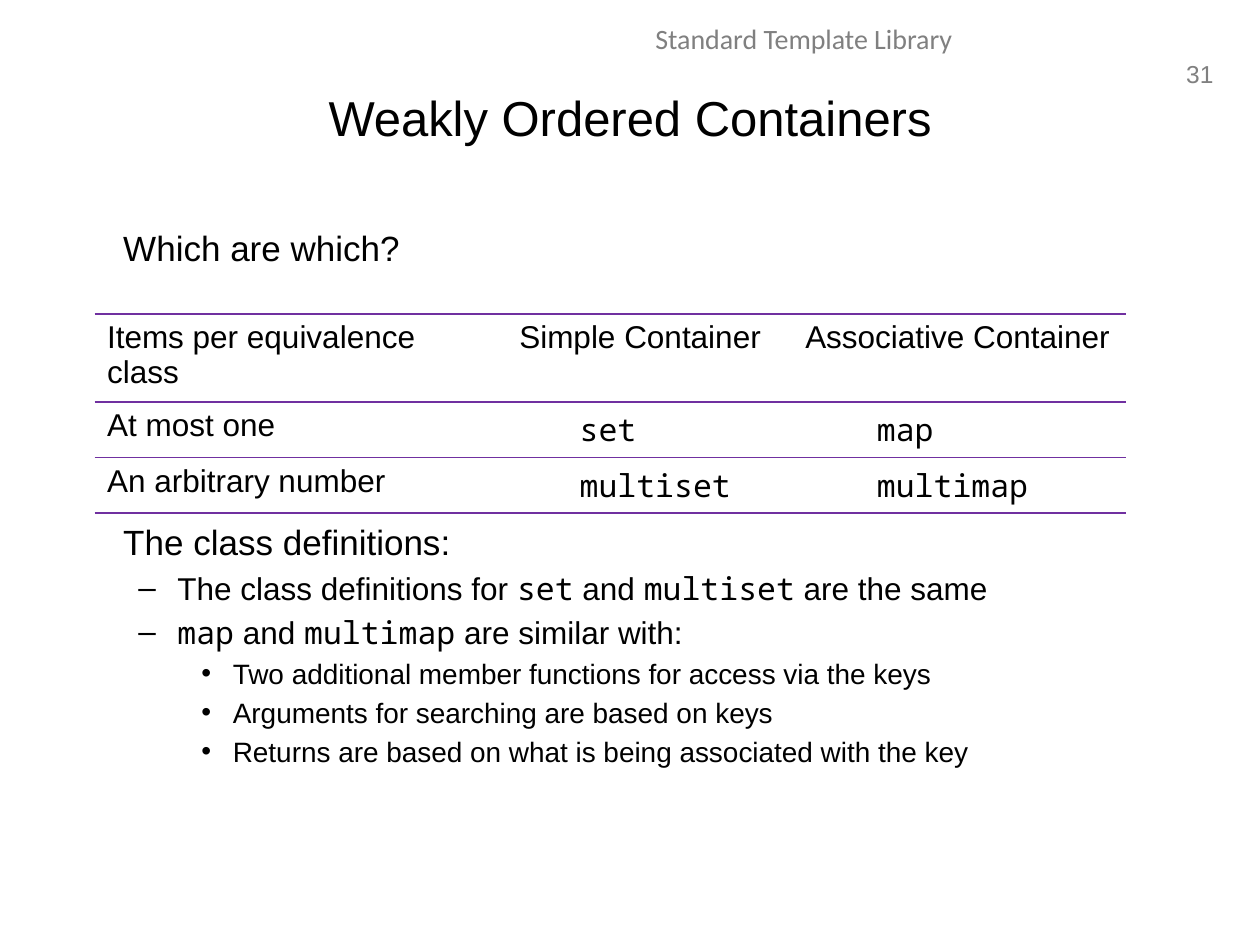
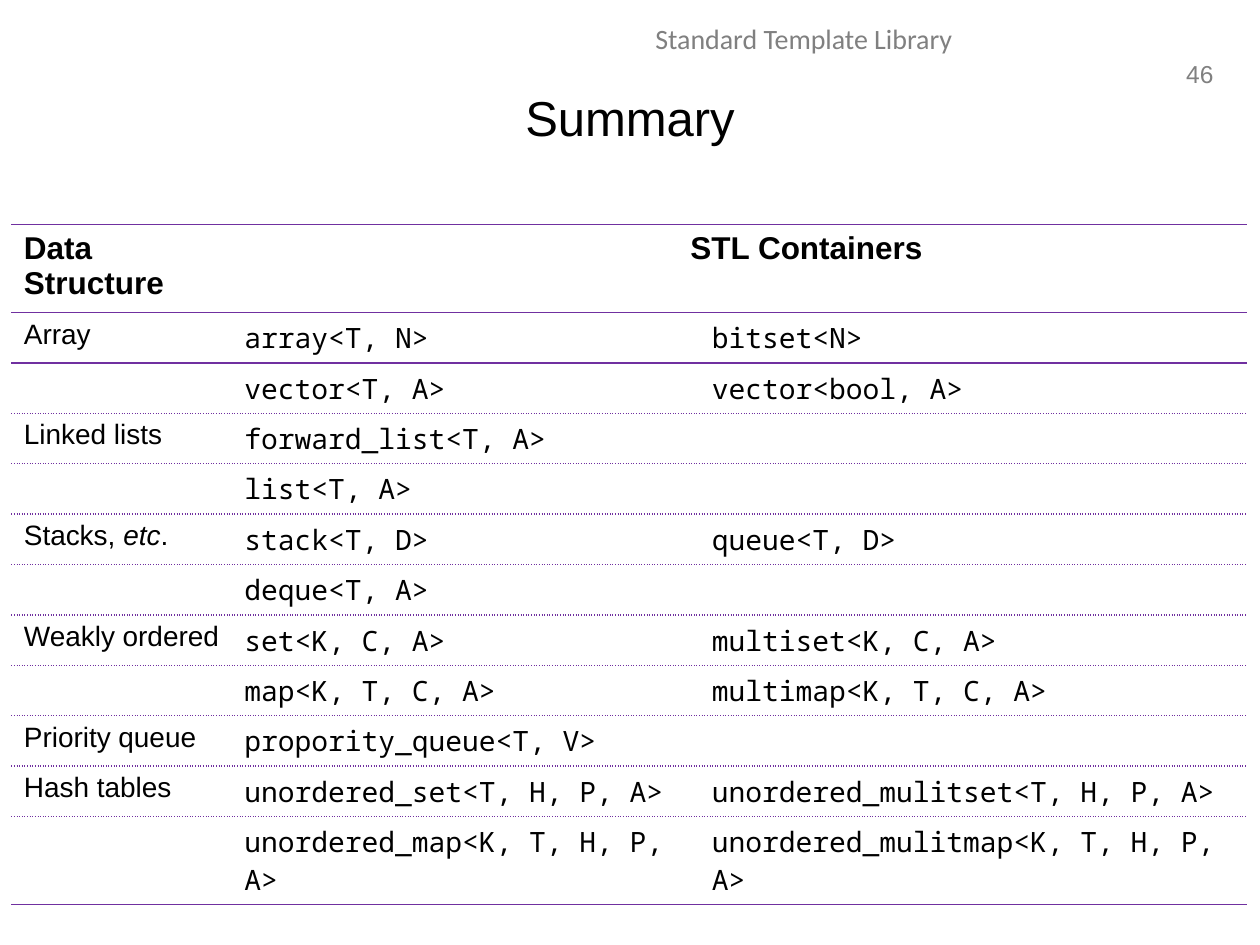
from lxml import etree
from pptx import Presentation
from pptx.dml.color import RGBColor
from pptx.enum.text import MSO_ANCHOR as Anchor, PP_ALIGN as Align
from pptx.oxml import parse_xml
from pptx.oxml.ns import nsdecls, qn
from pptx.util import Inches, Pt

BLACK, GREY, PURPLE = "000000", "808080", "7030A0"
SANS, MONO = "Arial", "Noto Sans Mono"


def write(paragraph, runs, size, color=BLACK, align=Align.LEFT, **font_format):
    paragraph.alignment = align
    for text, run_format in runs:
        run = paragraph.add_run()
        run.text = text
        values = {"name": SANS, "size": Pt(size), **font_format, **run_format}
        for name, value in values.items():
            setattr(run.font, name, value)
        run.font.color.rgb = RGBColor.from_string(color)


def add_text_frame(slide, box, wrap=True, anchor=Anchor.TOP):
    frame = slide.shapes.add_textbox(*map(Inches, box)).text_frame
    frame.word_wrap = wrap
    frame.vertical_anchor = anchor
    return frame


code = {"name": MONO}
italic = {"italic": True}

pages = [
    {
        "title": "Weakly Ordered Containers",
        "number": "31",
        "position": (0.75, 2.49),
        "columns": [3.15, 2.36, 2.68],
        "heights": [0.66, 0.44, 0.44],
        "body_size": 18,
        "header_bold": False,
        "header_align": Align.CENTER,
        "code_margin": 0.7,
        "solid_lines": {0, 1, 2, 3},
        "rows": [
            ["Items per equivalence class", "Simple Container", "Associative Container"],
            ["At most one", "set", "map"],
            ["An arbitrary number", "multiset", "multimap"],
        ],
    },
    {
        "title": "Summary",
        "number": "46",
        "position": (0.09, 1.78),
        "columns": [1.75, 3.71, 4.35],
        "heights": [0.66] + [0.4] * 10 + [0.7],
        "body_size": 16,
        "header_bold": True,
        "header_align": Align.LEFT,
        "code_margin": 0.1,
        "solid_lines": {0, 1, 2, 12},
        "rows": [
            ["Data Structure", "STL Containers", ""],
            ["Array", "array<T, N>", "bitset<N>"],
            ["", "vector<T, A>", "vector<bool, A>"],
            ["Linked lists", "forward_list<T, A>", ""],
            ["", "list<T, A>", ""],
            [[("Stacks, ", {}), ("etc", italic), (".", {})], "stack<T, D>", "queue<T, D>"],
            ["", "deque<T, A>", ""],
            ["Weakly ordered", "set<K, C, A>", "multiset<K, C, A>"],
            ["", "map<K, T, C, A>", "multimap<K, T, C, A>"],
            ["Priority queue", "propority_queue<T, V>", ""],
            ["Hash tables", "unordered_set<T, H, P, A>", "unordered_mulitset<T, H, P, A>"],
            ["", "unordered_map<K, T, H, P, A>", "unordered_mulitmap<K, T, H, P, A>"],
        ],
    },
]

levels = [
    {"size": 20, "left": 0.38, "hang": 0, "bullet": None},
    {"size": 18, "left": 0.81, "hang": 0.31, "bullet": "–"},
    {"size": 16, "left": 1.25, "hang": 0.25, "bullet": "•"},
]
text_blocks = [
    (1.75, [(0, [("Which are which?", {})])]),
    (4.08, [
        (0, [("The class definitions:", {})]),
        (1, [("The class definitions for ", {}), ("set", code), (" and ", {}),
             ("multiset", code), (" are the same", {})]),
        (1, [("map", code), (" and ", {}), ("multimap", code), (" are similar with:", {})]),
        (2, [("Two additional member functions for access via the keys", {})]),
        (2, [("Arguments for searching are based on keys", {})]),
        (2, [("Returns are based on what is being associated with the key", {})]),
    ]),
]

presentation = Presentation()
presentation.slide_width = Inches(10)
presentation.slide_height = Inches(7.5)

for page in pages:
    slide = presentation.slides.add_slide(presentation.slide_layouts[6])

    number = add_text_frame(slide, (9.29, 0.42, 0.44, 0.33), wrap=False)
    write(number.paragraphs[0], [(page["number"], {})], 14, GREY, Align.RIGHT)
    course = add_text_frame(slide, (3.19, 0.12, 6.38, 0.4))
    write(course.paragraphs[0], [("Standard Template Library", {})], 16, GREY,
          Align.CENTER, name="Calibri")
    title = add_text_frame(slide, (0.5, 0.3, 9, 1.25), anchor=Anchor.MIDDLE)
    write(title.paragraphs[0], [(page["title"], {})], 28, align=Align.CENTER)

    rows, columns, heights = page["rows"], page["columns"], page["heights"]
    size = (sum(columns), sum(heights))
    table = slide.shapes.add_table(
        len(rows), len(columns), *map(Inches, page["position"] + size)).table
    table.first_row = table.horz_banding = False
    for column, width in zip(table.columns, columns):
        column.width = Inches(width)
    for row, height in zip(table.rows, heights):
        row.height = Inches(height)

    for row_index, row in enumerate(rows):
        for column_index, content in enumerate(row):
            cell = table.cell(row_index, column_index)
            cell.fill.background()
            header = row_index == 0
            is_code = not header and column_index > 0
            if is_code:
                cell.margin_left = Inches(page["code_margin"])
            if content:
                runs = [(content, {})] if isinstance(content, str) else content
                centred = header and column_index > 0
                write(cell.text_frame.paragraphs[0], runs,
                      18 if header else page["body_size"],
                      align=page["header_align"] if centred else Align.LEFT,
                      name=MONO if is_code else SANS,
                      bold=header and page["header_bold"])
            else:
                cell.text_frame.paragraphs[0].font.size = Pt(page["body_size"])

            edges = [("lnL", None), ("lnR", None), ("lnT", row_index), ("lnB", row_index + 1)]
            properties = cell._tc.get_or_add_tcPr()
            for position, (edge, line) in enumerate(edges):
                dash = "solid" if line in page["solid_lines"] else "sysDot"
                paint = "<a:noFill/>" if line is None else (
                    f'<a:solidFill><a:srgbClr val="{PURPLE}"/></a:solidFill>'
                    f'<a:prstDash val="{dash}"/>')
                properties.insert(position, parse_xml(
                    f'<a:{edge} {nsdecls("a")} w="12700">{paint}</a:{edge}>'))

    if page["title"] == "Summary":
        table.cell(0, 1).merge(table.cell(0, 2))
        table.cell(0, 1).margin_left = Inches(3.64)
        continue

    for top, lines in text_blocks:
        frame = add_text_frame(slide, (0.5, top, 9, 0.45 * len(lines)))
        for index, (depth, runs) in enumerate(lines):
            level = levels[depth]
            paragraph = frame.paragraphs[0] if index == 0 else frame.add_paragraph()
            properties = paragraph._p.get_or_add_pPr()
            properties.set("marL", str(Inches(level["left"])))
            properties.set("indent", str(-Inches(level["hang"])))
            if level["bullet"]:
                etree.SubElement(properties, qn("a:buFont"), typeface=SANS)
                etree.SubElement(properties, qn("a:buChar"), char=level["bullet"])
            if index:
                paragraph.space_before = Pt(0.2 * level["size"])
            write(paragraph, runs, level["size"])

presentation.save("out.pptx")
